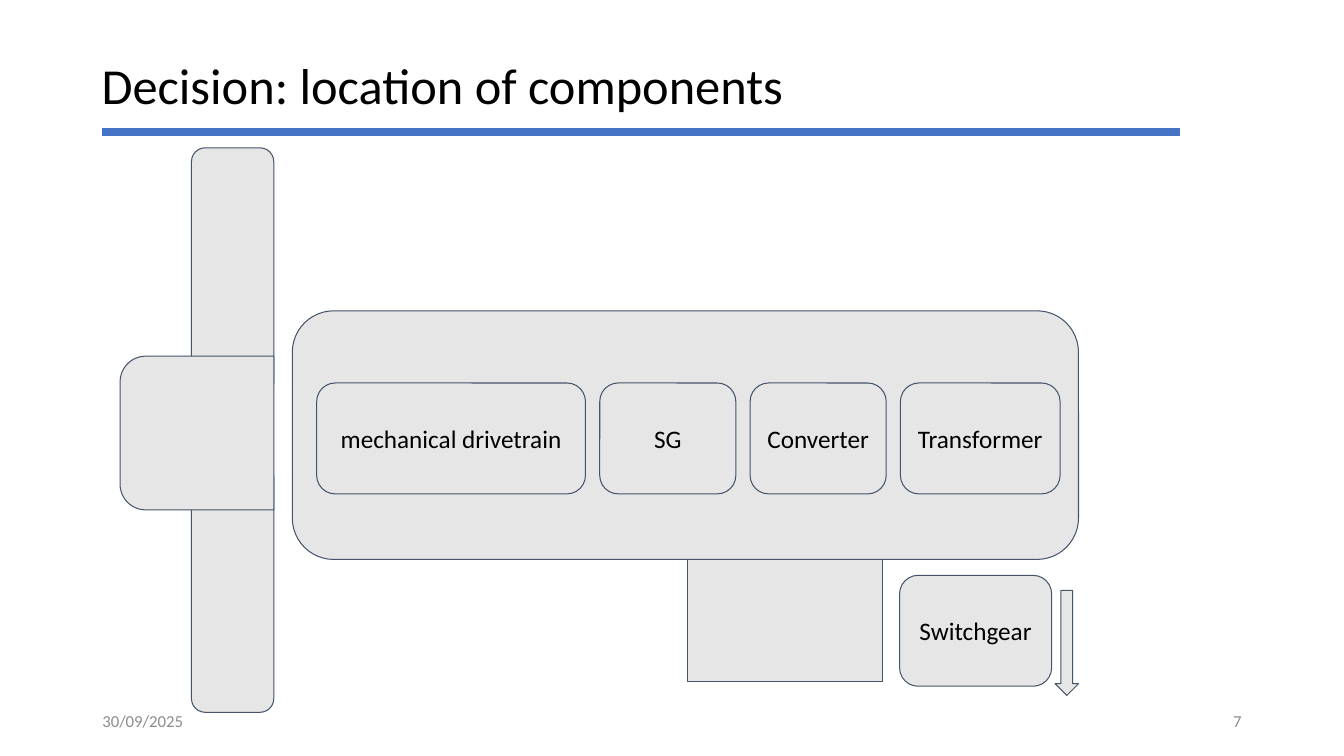
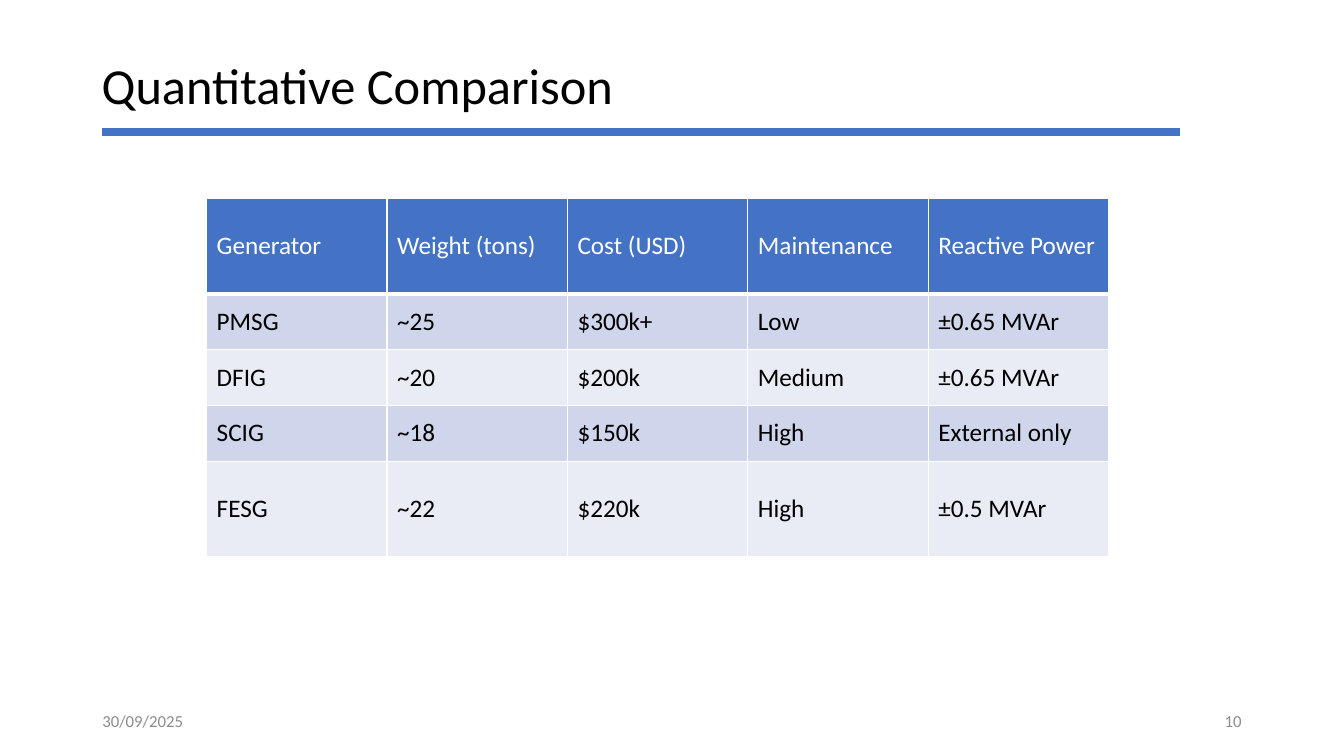
from dataclasses import dataclass

from lxml.etree import SubElement
from pptx import Presentation
from pptx.dml.color import RGBColor
from pptx.enum.shapes import MSO_CONNECTOR, MSO_SHAPE
from pptx.enum.text import MSO_ANCHOR, PP_ALIGN
from pptx.oxml.ns import qn
from pptx.util import Inches, Pt

CELLS = 12  # grid cells per inch: the slide is 160 columns by 90 rows


@dataclass(frozen=True)
class Theme:
    font: str = "Calibri"
    ink: str = "000000"
    paper: str = "FFFFFF"
    accent: str = "4472C4"
    edge: str = "44546A"
    shell: str = "E7E6E6"
    muted: str = "8C8C8C"
    bands: tuple = ("CFD5EA", "E9EBF5")
    title: int = 36
    body: int = 18
    small: int = 12
    rule: int = 6
    thin: float = 0.75


@dataclass(frozen=True)
class Box:
    """A region in grid columns and rows."""
    x: float
    y: float
    w: float
    h: float

    def sub(self, x, y, w, h):
        return Box(self.x + x, self.y + y, w, h)

    def emu(self):
        return [grid(n) for n in (self.x, self.y, self.w, self.h)]


THEME = Theme()
PAGE = Box(0, 0, 160, 90)
DATE = "30/09/2025"
ROWS = [
    ("Generator", "Weight (tons)", "Cost (USD)", "Maintenance", "Reactive Power"),
    ("PMSG", "~25", "$300k+", "Low", "±0.65 MVAr"),
    ("DFIG", "~20", "$200k", "Medium", "±0.65 MVAr"),
    ("SCIG", "~18", "$150k", "High", "External only"),
    ("FESG", "~22", "$220k", "High", "±0.5 MVAr"),
]


def grid(cells):
    return Inches(cells / CELLS)


def tint(name):
    return RGBColor.from_string(name)


def write(frame, text, size, color, align=PP_ALIGN.LEFT):
    frame.word_wrap = True
    frame.vertical_anchor = MSO_ANCHOR.MIDDLE
    para = frame.paragraphs[0]
    para.alignment = align
    run = para.add_run()
    run.text = text
    font = run.font
    font.name, font.size, font.bold = THEME.font, Pt(size), False
    font.color.rgb = tint(color)
    return para


def label(slide, box, text, align):
    frame = slide.shapes.add_textbox(*box.emu()).text_frame
    write(frame, text, THEME.small, THEME.muted, align)


def rule(slide, box):
    left, top, width, _ = box.emu()
    line = slide.shapes.add_connector(
        MSO_CONNECTOR.STRAIGHT, left, top, left + width, top)
    line.line.color.rgb = tint(THEME.accent)
    line.line.width = Pt(THEME.rule)
    SubElement(line._element.spPr, qn("a:effectLst"))


def start(deck, title, number):
    """Add a slide with the shared title, rule and footer."""
    slide = deck.slides.add_slide(deck.slide_layouts[5])
    head = slide.shapes.title
    head.left, head.top, head.width, head.height = PAGE.sub(10.9, 6.6, 146.6, 7.8).emu()
    write(head.text_frame, title, THEME.title, THEME.ink).line_spacing = 0.9
    rule(slide, PAGE.sub(12.2, 15.7, 128.3, 0))
    foot = PAGE.sub(11, 83.4, 138, 4.8)
    label(slide, foot.sub(0, 0, 36, foot.h), DATE, PP_ALIGN.LEFT)
    label(slide, foot.sub(foot.w - 36, 0, 36, foot.h), str(number), PP_ALIGN.RIGHT)
    return slide


def block(slide, box, kind=MSO_SHAPE.ROUNDED_RECTANGLE, text=""):
    shape = slide.shapes.add_shape(kind, *box.emu())
    shape.shadow.inherit = False
    shape.fill.solid()
    shape.fill.fore_color.rgb = tint(THEME.shell)
    shape.line.color.rgb = tint(THEME.edge)
    shape.line.width = Pt(THEME.thin)
    if text:
        frame = shape.text_frame
        frame.margin_left = frame.margin_right = Inches(0.1)
        frame.margin_top = frame.margin_bottom = Inches(0.1)
        write(frame, text, THEME.body, THEME.ink, PP_ALIGN.CENTER)
    return shape


def rotor(slide, box):
    blade = 29.6
    for top in (0, box.h - blade):
        block(slide, box.sub(8.5, top, 9.8, blade))
    hub = block(slide, box.sub(0, 24.8, box.w, box.w),
                MSO_SHAPE.ROUND_2_SAME_RECTANGLE)
    hub.rotation = 270


def nacelle(slide, box):
    block(slide, box)
    gap, left = 1.7, 2.9
    units = [("mechanical drivetrain", 32), ("SG", 16.2),
             ("Converter", 16.2), ("Transformer", 19)]
    for text, width in units:
        block(slide, box.sub(left, 8.6, width, 13.2), text=text)
        left += width + gap


def turbine(slide, box):
    block(slide, box.sub(67.6, 49, 23.2, 14.5), MSO_SHAPE.RECTANGLE)
    nacelle(slide, box.sub(20.5, 19.4, box.w - 20.5, 29.6))
    rotor(slide, box.sub(0, 0, 18.3, box.h))
    block(slide, box.sub(92.8, 50.9, 18.1, 13.2), text="Switchgear")
    block(slide, box.sub(box.w - 2.8, 52.7, 2.8, 12.5), MSO_SHAPE.DOWN_ARROW)


def border(cell, base):
    """Draw white cell borders; base is the width of the bottom one."""
    props = cell._tc.get_or_add_tcPr()
    for side, width in zip("LRTB", (1, 1, 1, base)):
        line = SubElement(props, qn(f"a:ln{side}"), w=str(Pt(width)))
        fill = SubElement(line, qn("a:solidFill"))
        SubElement(fill, qn("a:srgbClr"), val=THEME.paper)


def matrix(slide, box, rows):
    table = slide.shapes.add_table(len(rows), len(rows[0]), *box.emu()).table
    table.first_row = table.horz_banding = False
    tall = 11.4
    short = (box.h - 2 * tall) / (len(rows) - 2)
    for col in table.columns:
        col.width = grid(box.w / len(rows[0]))
    for i, row in enumerate(rows):
        table.rows[i].height = grid(tall if i in (0, len(rows) - 1) else short)
        fill = THEME.bands[(i - 1) % 2] if i else THEME.accent
        for j, text in enumerate(row):
            cell = table.cell(i, j)
            border(cell, 1 if i else 3)
            cell.fill.solid()
            cell.fill.fore_color.rgb = tint(fill)
            cell.vertical_anchor = MSO_ANCHOR.MIDDLE
            write(cell.text_frame, text, THEME.body, THEME.ink if i else THEME.paper)


def main():
    deck = Presentation()
    deck.slide_width, deck.slide_height = grid(PAGE.w), grid(PAGE.h)
    turbine(start(deck, "Decision: location of components", 7),
            PAGE.sub(14.3, 17.6, 114.1, 67.2))
    matrix(start(deck, "Quantitative Comparison", 10),
           PAGE.sub(24.6, 23.6, 107.4, 42.7), ROWS)
    deck.save("out.pptx")


if __name__ == "__main__":
    main()
